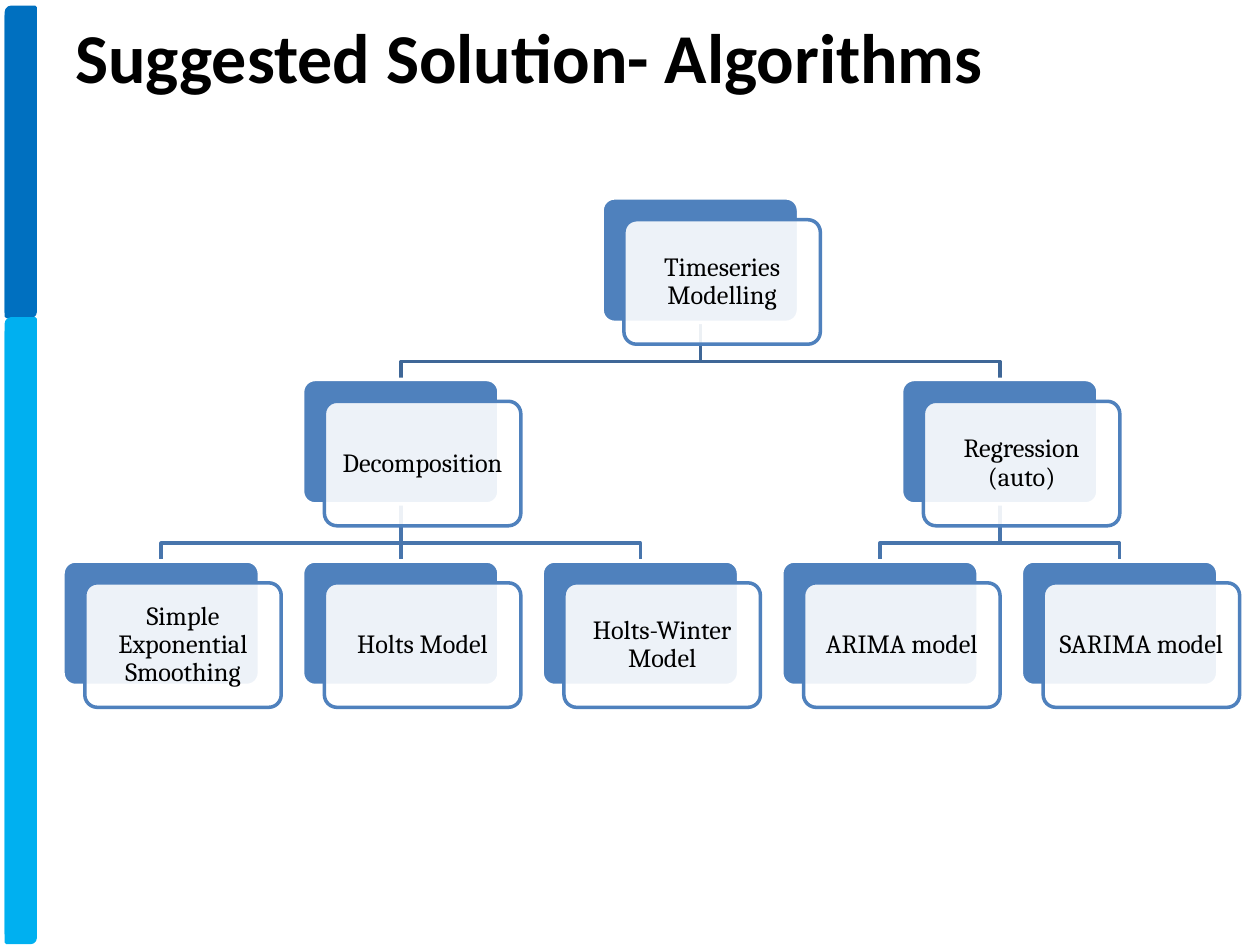
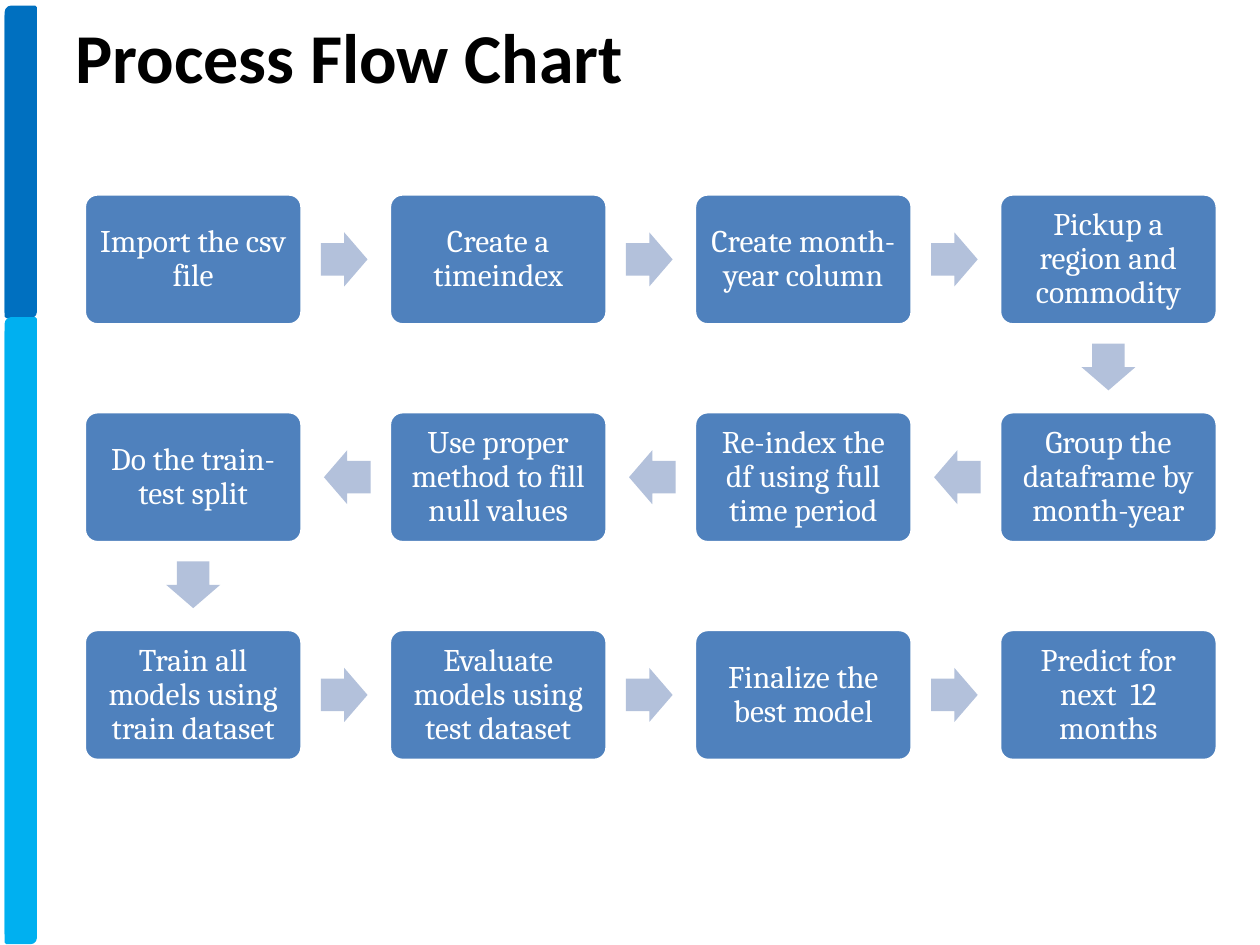
from pptx import Presentation
from pptx.dml.color import RGBColor
from pptx.enum import shapes as kinds, text as txt
from pptx.oxml import ns, xmlchemy as xml
from pptx.util import Cm, Pt

DARK = RGBColor(0x00, 0x70, 0xC0)
LIGHT = RGBColor(0x00, 0xB0, 0xF0)
BLUE = RGBColor(0x4F, 0x81, 0xBD)
PALE = RGBColor(0xB3, 0xC1, 0xDB)
WHITE = RGBColor(0xFF, 0xFF, 0xFF)
BLACK = RGBColor(0x00, 0x00, 0x00)
LINKS = [RGBColor(0x3F, 0x67, 0x97), RGBColor(0x48, 0x75, 0xAC)]  # by tree level

HEAD, BODY = "Calibri", "Cambria"
KIND = kinds.MSO_SHAPE

# top, height, colour of the bands down the left edge
BANDS = [
    (0.23, 6.15, DARK),
    (6.6, 12.4, LIGHT),
    (0.15, 6.15, DARK),
    (6.43, 12.4, LIGHT),
]

TREE_TITLE = "Suggested Solution- Algorithms"
TREE = ("Timeseries Modelling", [
    ("Decomposition", [
        ("Simple Exponential Smoothing", []),
        ("Holts Model", []),
        ("Holts-Winter Model", []),
    ]),
    ("Regression (auto)", [
        ("ARIMA model", []),
        ("SARIMA model", []),
    ]),
])

FLOW_TITLE = "Process Flow Chart"
STEPS = [
    "Import the csv file",
    "Create a timeindex",
    "Create month-year column",
    "Pickup a region and commodity",
    "Group the dataframe by month-year",
    "Re-index the df using full time period",
    "Use proper method to fill null values",
    "Do the train-test split",
    "Train all models using train dataset",
    "Evaluate models using test dataset",
    "Finalize the best model",
    "Predict for next  12 months",
]

# all lengths below are in centimetres
NODE_W, NODE_H = 3.96, 2.51
TREE_X, TREE_Y = 1.27, 3.99
COL_GAP, ROW_GAP = 4.83, 3.66
SHIFT = 0.44    # front card against back card
BEND = 0.79     # drop from a node to the crossbar

STEP_W, STEP_H = 4.39, 2.64
FLOW_X, FLOW_Y = 1.7, 3.91
STEP_DX, STEP_DY = 6.15, 4.39
PER_ROW = 4
ARROW_W, ARROW_H = 0.94, 1.09
LEAD = 0.38     # from a step's edge to its arrow


def add_box(slide, kind, x, y, w, h, fill, line=None):
    box = slide.shapes.add_shape(kind, Cm(x), Cm(y), Cm(w), Cm(h))
    box.shadow.inherit = False
    box.fill.solid()
    box.fill.fore_color.rgb = fill
    if line is None:
        box.line.fill.background()
    else:
        box.line.color.rgb = line
        box.line.width = Pt(2)
    return box


def add_card(slide, x, y, w, h, fill, line):
    card = add_box(slide, KIND.ROUNDED_RECTANGLE, x, y, w, h, fill, line)
    card.adjustments[0] = 0.1
    return card


def add_run(para, words, size, font, color, bold=False):
    run = para.add_run()
    run.text = words
    run.font.size = Pt(size)
    run.font.name = font
    run.font.bold = bold
    run.font.color.rgb = color


def label(card, words, size, color, inset):
    frame = card.text_frame
    frame.word_wrap = True
    frame.vertical_anchor = txt.MSO_ANCHOR.MIDDLE
    frame.margin_left = frame.margin_right = Cm(inset)
    frame.margin_top = frame.margin_bottom = Cm(inset)
    para = frame.paragraphs[0]
    para.alignment = txt.PP_ALIGN.CENTER
    para.line_spacing = 0.9
    add_run(para, words, size, BODY, color)


def new_slide(deck, title):
    """Add a blank slide with the side bands and the title."""
    slide = deck.slides.add_slide(deck.slide_layouts[6])
    for top, height, color in BANDS:
        add_box(slide, KIND.ROUND_2_DIAG_RECTANGLE,
                0.13, top, 0.58, height, color, color)
    box = slide.shapes.add_textbox(Cm(1.27), Cm(0.15), Cm(23.72), Cm(1.96))
    box.text_frame.word_wrap = True
    add_run(box.text_frame.paragraphs[0], title, 40, HEAD, BLACK, True)
    return slide


def place(node, nodes, links, level=0, free=0):
    """Fill nodes and links; return the node's column and the next free one."""
    words, kids = node
    cols = []
    for kid in kids:
        col, free = place(kid, nodes, links, level + 1, free)
        cols.append(col)
    if cols:
        here = (cols[0] + cols[-1]) / 2
    else:
        here, free = free, free + 1
    nodes.append((words, here, level))
    links += [(here, col, level) for col in cols]
    return here, free


def add_link(slide, start, end, level):
    x1, x2 = [TREE_X + col * COL_GAP + NODE_W / 2 for col in (start, end)]
    y1 = TREE_Y + level * ROW_GAP + NODE_H
    y2 = TREE_Y + (level + 1) * ROW_GAP
    if start == end:
        link = slide.shapes.add_connector(
            kinds.MSO_CONNECTOR.STRAIGHT, Cm(x1), Cm(y1), Cm(x2), Cm(y2))
        link._element.spPr.append(xml.OxmlElement("a:effectLst"))
    else:
        pen = slide.shapes.build_freeform(Cm(x1), Cm(y1))
        bends = [(x1, y1 + BEND), (x2, y1 + BEND), (x2, y2)]
        pen.add_line_segments([(Cm(x), Cm(y)) for x, y in bends], close=False)
        link = pen.convert_to_shape()
        link.shadow.inherit = False
        link.fill.background()
    link.line.color.rgb = LINKS[level]
    link.line.width = Pt(2)


def add_node(slide, words, col, level):
    x, y = TREE_X + col * COL_GAP, TREE_Y + level * ROW_GAP
    add_card(slide, x, y, NODE_W, NODE_H, BLUE, WHITE)
    front = add_card(slide, x + SHIFT, y + SHIFT, NODE_W, NODE_H, WHITE, BLUE)
    tint = front._element.spPr.find(ns.qn("a:solidFill"))[0]
    alpha = xml.OxmlElement("a:alpha")
    alpha.set("val", "90000")
    tint.append(alpha)
    label(front, words, 15, BLACK, 0.15)


def draw_tree(deck):
    slide = new_slide(deck, TREE_TITLE)
    nodes, links = [], []
    place(TREE, nodes, links)
    for link in links:
        add_link(slide, *link)
    for node in nodes:
        add_node(slide, *node)


def cell(i):
    """Column and row of a step; every second row runs right to left."""
    row, col = divmod(i, PER_ROW)
    return (PER_ROW - 1 - col if row % 2 else col), row


def add_arrow(slide, x, y, dx, dy):
    """Point an arrow from the step centred on x, y towards dx, dy."""
    reach = LEAD + ARROW_W / 2
    mid_x = x + dx * (STEP_W / 2 + reach)
    mid_y = y + dy * (STEP_H / 2 + reach)
    arrow = add_box(slide, KIND.RIGHT_ARROW, mid_x - ARROW_W / 2,
                    mid_y - ARROW_H / 2, ARROW_W, ARROW_H, PALE)
    arrow.adjustments[0] = 0.6
    arrow.adjustments[1] = 0.5
    arrow.rotation = 90 if dy else 90 * (1 - dx)


def draw_flow(deck):
    slide = new_slide(deck, FLOW_TITLE)
    for i, words in enumerate(STEPS):
        col, row = cell(i)
        x, y = FLOW_X + col * STEP_DX, FLOW_Y + row * STEP_DY
        card = add_card(slide, x, y, STEP_W, STEP_H, BLUE, WHITE)
        label(card, words, 18, WHITE, 0.18)
        if i + 1 < len(STEPS):
            to_col, to_row = cell(i + 1)
            add_arrow(slide, x + STEP_W / 2, y + STEP_H / 2,
                      to_col - col, to_row - row)


def main():
    deck = Presentation()
    deck.slide_width, deck.slide_height = Cm(25.4), Cm(19.05)
    draw_tree(deck)
    draw_flow(deck)
    deck.save("out.pptx")


if __name__ == "__main__":
    main()
